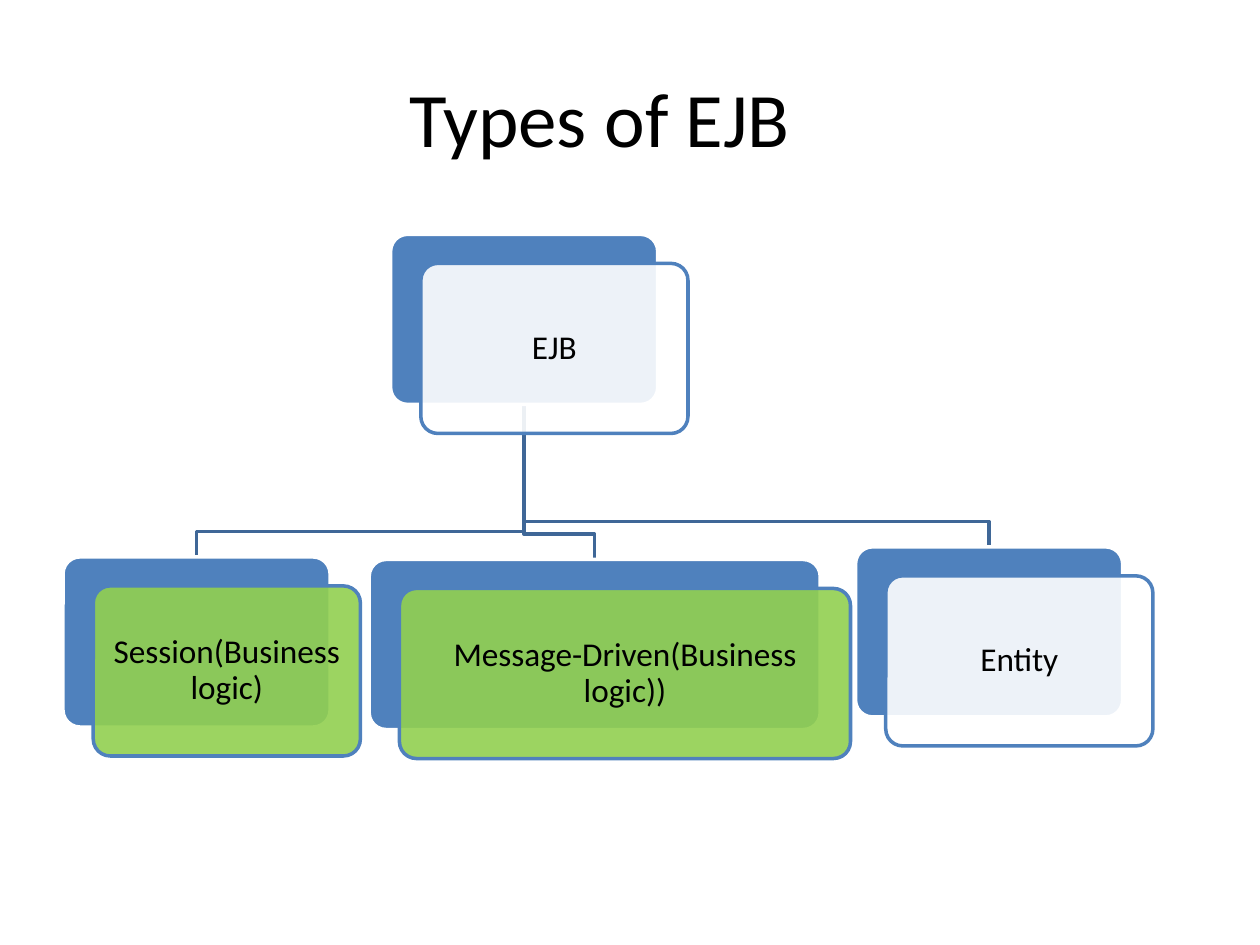
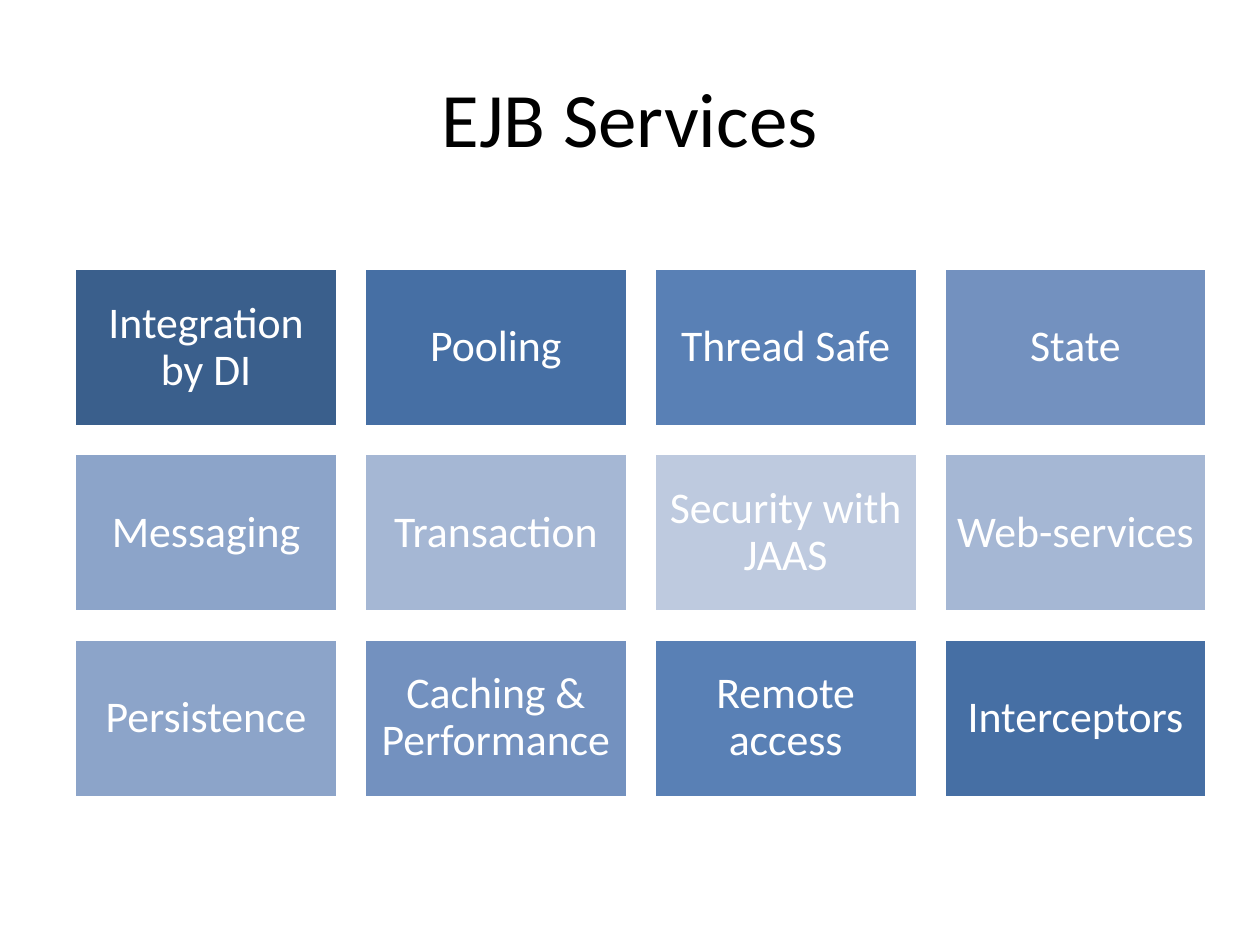
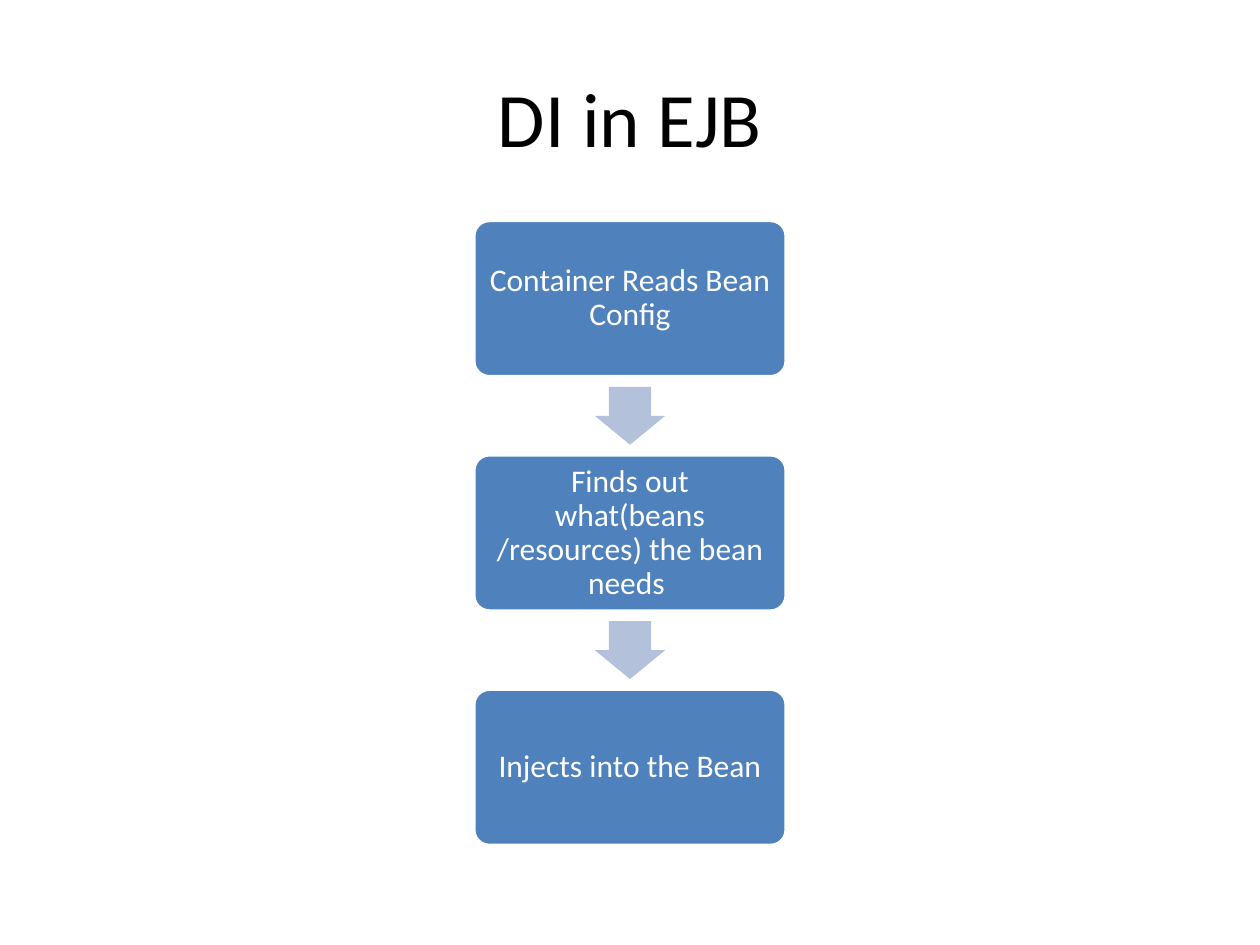
"""Build three slides on EJB types, services and dependency injection."""
import pptx
import pptx.dml.color
import pptx.enum.shapes
import pptx.enum.text
import pptx.oxml
import pptx.oxml.ns
import pptx.util

Inches = pptx.util.Inches
Pt = pptx.util.Pt
RGBColor = pptx.dml.color.RGBColor
Shape = pptx.enum.shapes.MSO_SHAPE

BLACK = RGBColor(0x00, 0x00, 0x00)
WHITE = RGBColor(0xFF, 0xFF, 0xFF)
BLUE = RGBColor(0x4F, 0x81, 0xBD)
DARK_BLUE = RGBColor(0x3F, 0x67, 0x97)
PALE_BLUE = RGBColor(0xB3, 0xC1, 0xDB)
GREEN = RGBColor(0x92, 0xD0, 0x50)
BLUE_RAMP = [
    RGBColor(0x3A, 0x5F, 0x8C),
    RGBColor(0x46, 0x6F, 0xA4),
    RGBColor(0x59, 0x80, 0xB5),
    RGBColor(0x73, 0x91, 0xBF),
    RGBColor(0x8C, 0xA4, 0xC9),
    RGBColor(0xA5, 0xB7, 0xD4),
    RGBColor(0xBE, 0xCA, 0xDF),
]


class SlideBuilder:
    """Hold the shared style and the current slide."""

    font = "Calibri"
    line_width = Pt(2)
    card_height = 1.35
    card_shift = (0.24, 0.23)

    def __init__(self):
        self.deck = pptx.Presentation()
        self.deck.slide_width = Inches(10)
        self.deck.slide_height = Inches(7.5)
        self.page = None

    def start(self, title):
        self.page = self.deck.slides.add_slide(self.deck.slide_layouts[6])
        box = self.page.shapes.add_textbox(Inches(0.5), Inches(0.3), Inches(9), Inches(1.25))
        self.label(box, title, 44, BLACK)

    def label(self, box, text, size, color, margin=None, spacing=None):
        frame = box.text_frame
        frame.word_wrap = True
        frame.vertical_anchor = pptx.enum.text.MSO_ANCHOR.MIDDLE
        if margin is not None:
            frame.margin_left = frame.margin_right = Inches(margin)
            frame.margin_top = frame.margin_bottom = Inches(margin)
        para = frame.paragraphs[0]
        para.text = text
        para.alignment = pptx.enum.text.PP_ALIGN.CENTER
        para.line_spacing = spacing
        para.font.name = self.font
        para.font.size = Pt(size)
        para.font.color.rgb = color

    def block(self, kind, left, top, width, height, fill, line=None, opacity=None):
        box = self.page.shapes.add_shape(
            kind, Inches(left), Inches(top), Inches(width), Inches(height))
        box.shadow.inherit = False
        box.fill.solid()
        box.fill.fore_color.rgb = fill
        if line is None:
            box.line.fill.background()
        else:
            box.line.color.rgb = line
            box.line.width = self.line_width
        if kind == Shape.ROUNDED_RECTANGLE:
            box.adjustments[0] = 0.1
        if opacity is not None:
            color = box.element.spPr.find(
                pptx.oxml.ns.qn("a:solidFill")).find(pptx.oxml.ns.qn("a:srgbClr"))
            alpha = pptx.oxml.parse_xml(
                f'<a:alpha {pptx.oxml.ns.nsdecls("a")} val="{opacity * 1000}"/>')
            color.append(alpha)
        return box

    def card(self, text, left, top, width, fill):
        across, down = self.card_shift
        self.block(Shape.ROUNDED_RECTANGLE, left, top, width, self.card_height, BLUE, WHITE)
        front = self.block(Shape.ROUNDED_RECTANGLE, left + across, top + down,
                           width, self.card_height, fill, BLUE, opacity=90)
        self.label(front, text, 19, BLACK, 0.04, 0.9)

    def branch(self, start, end):
        (left, top), (right, bottom) = start, end
        bend = bottom - 0.2
        points = [(Inches(x), Inches(y))
                  for x, y in ((left, bend), (right, bend), (right, bottom))]
        outline = self.page.shapes.build_freeform(Inches(left), Inches(top))
        outline.add_line_segments(points, close=False)
        elbow = outline.convert_to_shape()
        elbow.shadow.inherit = False
        elbow.fill.background()
        elbow.line.color.rgb = DARK_BLUE
        elbow.line.width = self.line_width

    def tile(self, text, left, top, width, height, fill):
        box = self.block(Shape.RECTANGLE, left, top, width, height, fill, WHITE)
        self.label(box, text, 25, WHITE, 0.1, 0.9)

    def step(self, text, left, top, width, height):
        box = self.block(Shape.ROUNDED_RECTANGLE, left, top, width, height, BLUE, WHITE)
        self.label(box, text, 18, WHITE, 0.03, 0.9)

    def down_arrow(self, left, top):
        arrow = self.block(Shape.RIGHT_ARROW, left, top, 0.46, 0.56, PALE_BLUE)
        arrow.adjustments[0] = 0.6
        arrow.adjustments[1] = 0.5
        arrow.rotation = 90


def build_types(builder):
    builder.start("Types of EJB\t")
    root_left, root_top, root_width = 3.1, 1.86, 2.12
    children = [
        ("Session(Business logic)", 0.5, 4.42, 2.12, GREEN),
        ("Message-Driven(Business logic))", 2.93, 4.44, 3.58, GREEN),
        ("Entity", 6.79, 4.34, 2.12, WHITE),
    ]
    start = (root_left + root_width / 2, root_top + builder.card_height)
    for text, left, top, width, fill in reversed(children):
        builder.branch(start, (left + width / 2, top))
    builder.card("EJB", root_left, root_top, root_width, WHITE)
    for child in children:
        builder.card(*child)


def build_services(builder):
    builder.start("EJB Services")
    services = [
        "Integration by DI", "Pooling", "Thread Safe", "State",
        "Messaging", "Transaction", "Security with JAAS", "Web-services",
        "Persistence", "Caching & Performance", "Remote access", "Interceptors",
    ]
    fills = BLUE_RAMP + BLUE_RAMP[-2:0:-1]
    for index, (service, fill) in enumerate(zip(services, fills)):
        row, column = divmod(index, 4)
        builder.tile(service, 0.59 + column * 2.3, 2.13 + row * 1.47, 2.09, 1.26, fill)


def build_injection(builder):
    builder.start("DI in EJB")
    steps = [
        "Container Reads Bean Config",
        "Finds out what(beans /resources) the bean needs ",
        "Injects into the Bean",
    ]
    for index, text in enumerate(steps):
        top = 1.75 + index * 1.86
        if index:
            builder.down_arrow(4.77, top - 0.59)
        builder.step(text, 3.76, top, 2.48, 1.24)


def main():
    builder = SlideBuilder()
    build_types(builder)
    build_services(builder)
    build_injection(builder)
    builder.deck.save("out.pptx")


main()
